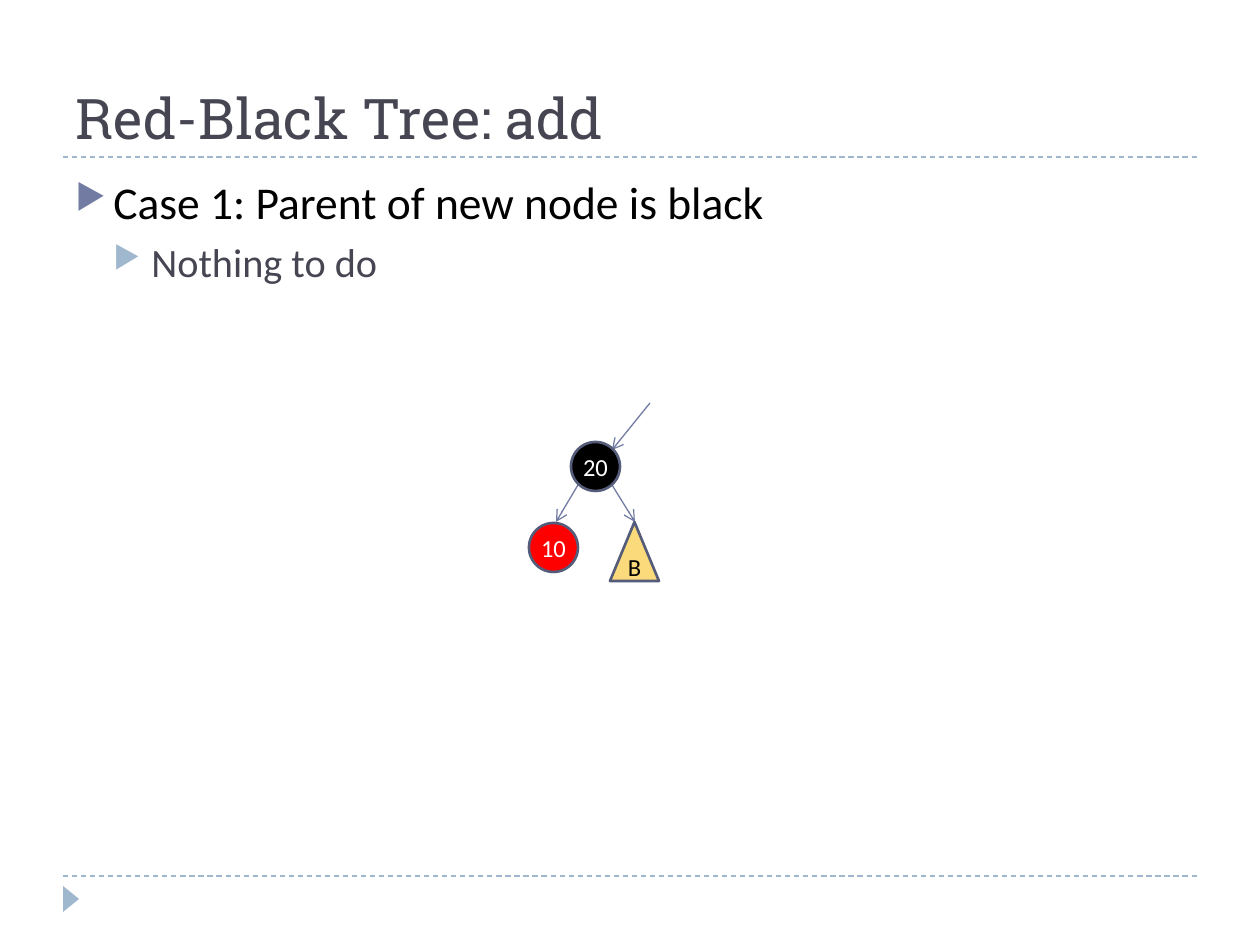
from pptx import Presentation
from pptx.dml.color import RGBColor
from pptx.enum.dml import MSO_LINE
from pptx.enum.shapes import MSO_CONNECTOR, MSO_SHAPE
from pptx.enum.text import MSO_ANCHOR, PP_ALIGN
from pptx.oxml.ns import qn
from pptx.util import Emu, Pt
from lxml.etree import SubElement

SCALE = 914400 / 126
COLORS = {
    "title": "464653", "text": "000000", "light": "FFFFFF",
    "rule": "9FB8CD", "edge": "727CA3", "outline": "545C79",
    "black": "000000", "red": "FF0000", "subtree": "FADA7A",
}


def px(*values):
    return [Emu(round(value * SCALE)) for value in values]


def color(name):
    return RGBColor.from_string(COLORS[name])


deck = Presentation()
deck.slide_width, deck.slide_height = px(1260, 945)
page = deck.slides.add_slide(deck.slide_layouts[6])

lines = [
    ((63, 876, 1197, 876), "rule"),
    ((63, 157, 1197, 157), "rule"),
    ((612, 485, 635, 522), "edge"),
    ((578, 485, 556, 522), "edge"),
    ((650, 403, 612, 450), "edge"),
]
for ends, kind in lines:
    line = page.shapes.add_connector(MSO_CONNECTOR.STRAIGHT, *px(*ends))
    line.line.color.rgb = color(kind)
    line.line.width = Pt(0.75)
    if kind == "rule":
        line.line.dash_style = MSO_LINE.DASH
    else:
        SubElement(line.line._get_or_add_ln(), qn("a:tailEnd"), type="arrow")
    SubElement(line._element.spPr, qn("a:effectLst"))

marker = page.shapes.add_shape(MSO_SHAPE.ISOSCELES_TRIANGLE, *px(58, 891, 26, 16))
marker.rotation = 90
marker.shadow.inherit = False
marker.fill.solid()
marker.fill.fore_color.rgb = color("rule")
marker.line.fill.background()

title = page.shapes.add_textbox(*px(63, 21, 1134, 136)).text_frame
title.word_wrap = True
title.vertical_anchor = MSO_ANCHOR.BOTTOM
para = title.paragraphs[0]
para.text = "Red-Black Tree: add"
para.font.name = "Roboto Slab"
para.font.size = Pt(32)
para.font.color.rgb = color("title")

body = page.shapes.add_textbox(*px(63, 168, 1134, 680)).text_frame
body.word_wrap = True
points = [
    ("Case 1: Parent of new node is black", 26, 6, "text", "edge"),
    ("Nothing to do", 23, 5, "title", "rule"),
]
for level, (text, size, space, ink, bullet) in enumerate(points):
    para = body.add_paragraph() if level else body.paragraphs[0]
    para.text = text
    para.level = level
    para.space_before = Pt(space)
    para.font.name = "Calibri"
    para.font.size = Pt(size)
    para.font.color.rgb = color(ink)
    indent = px(38)[0]
    props = para._p.get_or_add_pPr()
    props.set("marL", str(indent * (level + 1)))
    props.set("indent", str(-indent))
    bullet_color = SubElement(props, qn("a:buClr"))
    SubElement(bullet_color, qn("a:srgbClr"), val=COLORS[bullet])
    SubElement(props, qn("a:buSzPct"), val="76000")
    SubElement(props, qn("a:buChar"), char="\u25b6")
    props.append(props.find(qn("a:defRPr")))

nodes = [
    ("B", MSO_SHAPE.ISOSCELES_TRIANGLE, (610, 522, 49, 59), "subtree", "text"),
    ("20", MSO_SHAPE.OVAL, (571, 442, 49, 49), "black", "light"),
    ("10", MSO_SHAPE.OVAL, (529, 523, 49, 49), "red", "light"),
]
for text, preset, place, fill, ink in nodes:
    node = page.shapes.add_shape(preset, *px(*place))
    node.shadow.inherit = False
    node.fill.solid()
    node.fill.fore_color.rgb = color(fill)
    node.line.color.rgb = color("outline")
    node.line.width = Pt(1.5)
    frame = node.text_frame
    frame.margin_left = frame.margin_right = 0
    frame.margin_top = frame.margin_bottom = 0
    frame.word_wrap = False
    frame.vertical_anchor = MSO_ANCHOR.MIDDLE
    para = frame.paragraphs[0]
    para.text = text
    para.alignment = PP_ALIGN.CENTER
    para.font.name = "Calibri"
    para.font.size = Pt(14)
    para.font.color.rgb = color(ink)

deck.save("out.pptx")
